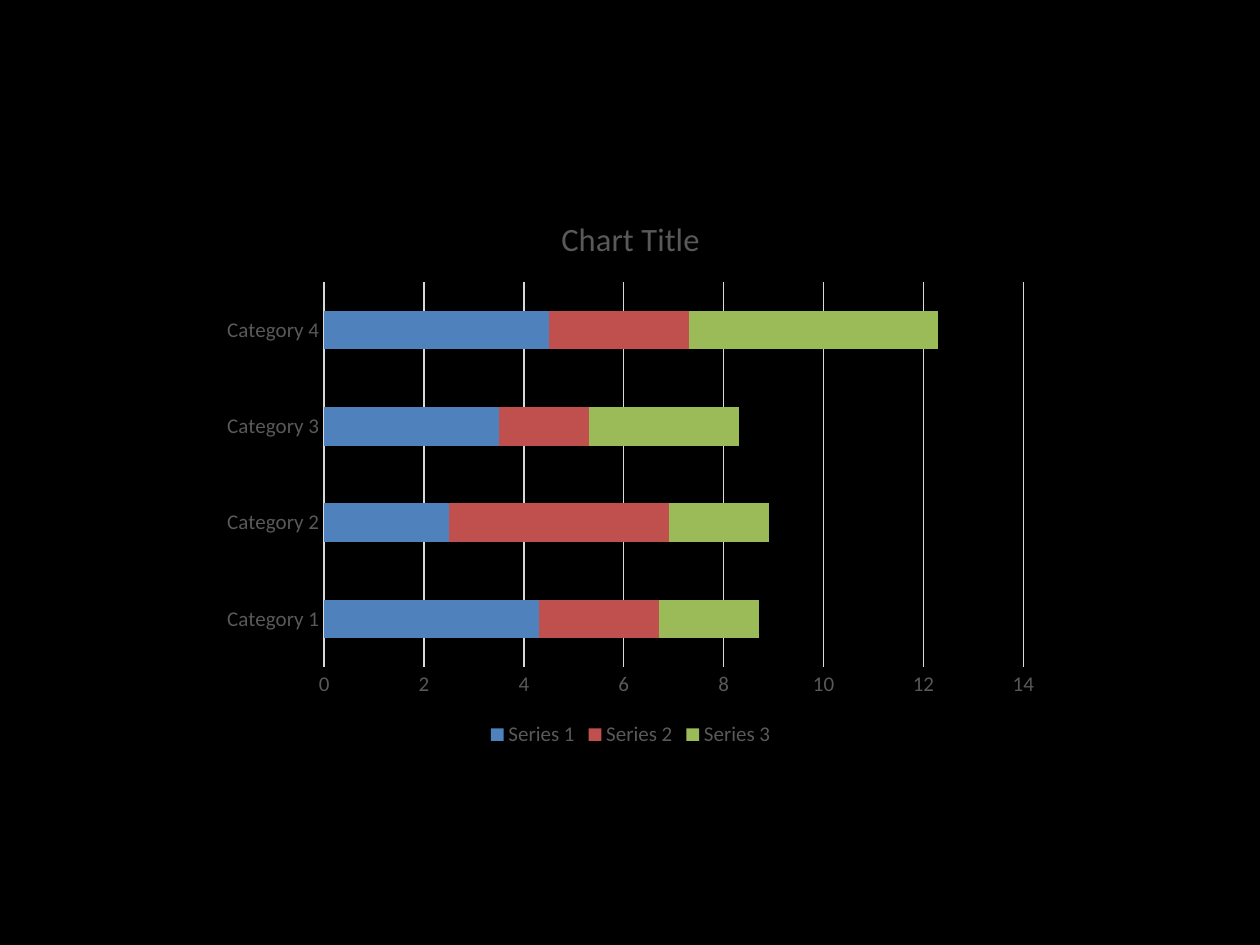
import pptx
import pptx.chart.data
import pptx.dml.color
import pptx.enum.chart
import pptx.util

Inches = pptx.util.Inches
Pt = pptx.util.Pt
RGBColor = pptx.dml.color.RGBColor
xl = pptx.enum.chart

BLACK = RGBColor(0x00, 0x00, 0x00)
GRAY = RGBColor(0x59, 0x59, 0x59)
LIGHT = RGBColor(0xD9, 0xD9, 0xD9)
BLUE = RGBColor(0x4F, 0x81, 0xBD)
RED = RGBColor(0xC0, 0x50, 0x4D)
GREEN = RGBColor(0x9B, 0xBB, 0x59)

SERIES = [
    ("Series 1", (4.3, 2.5, 3.5, 4.5), BLUE),
    ("Series 2", (2.4, 4.4, 1.8, 2.8), RED),
    ("Series 3", (2, 2, 3, 5), GREEN),
]


def set_font(font, size=12, color=GRAY):
    """Apply the chart's typeface with a size and colour."""
    font.name = "Calibri"
    font.size = Pt(size)
    font.bold = False
    font.color.rgb = color


def add_text(tf, text, **fmt):
    """Write text into the first paragraph, formatted by set_font."""
    r = tf.paragraphs[0].add_run()
    r.text = text
    set_font(r.font, **fmt)


prs = pptx.Presentation()
prs.slide_width, prs.slide_height = Inches(10), Inches(7.5)
s = prs.slides.add_slide(prs.slide_layouts[6])
s.background.fill.solid()
s.background.fill.fore_color.rgb = BLACK

data = pptx.chart.data.CategoryChartData()
data.categories = [f"Category {i}" for i in range(1, 5)]
for name, values, _ in SERIES:
    data.add_series(name, values)

chart = s.shapes.add_chart(
    xl.XL_CHART_TYPE.BAR_STACKED,
    Inches(1.67), Inches(1.53), Inches(6.67), Inches(4.44), data,
).chart
set_font(chart.font, size=10, color=BLACK)
chart.has_title = True
add_text(chart.chart_title.text_frame, "Chart Title", size=18.6)
chart.chart_title.include_in_layout = False

plot = chart.plots[0]
plot.gap_width = 150
plot.overlap = 100
plot.vary_by_categories = False
for series, (_, _, color) in zip(plot.series, SERIES):
    series.format.fill.solid()
    series.format.fill.fore_color.rgb = color
    series.invert_if_negative = False

cat_axis, val_axis = chart.category_axis, chart.value_axis
for axis in (cat_axis, val_axis):
    axis.major_tick_mark = xl.XL_TICK_MARK.NONE
    axis.minor_tick_mark = xl.XL_TICK_MARK.NONE
    set_font(axis.tick_labels.font)

cat_axis.has_major_gridlines = False
val_axis.has_major_gridlines = True
val_axis.format.line.fill.background()
for line in (cat_axis.format.line, val_axis.major_gridlines.format.line):
    line.color.rgb = LIGHT
    line.width = Pt(0.75)

chart.has_legend = True
chart.legend.position = xl.XL_LEGEND_POSITION.BOTTOM
chart.legend.include_in_layout = False
set_font(chart.legend.font)

prs.save("out.pptx")
